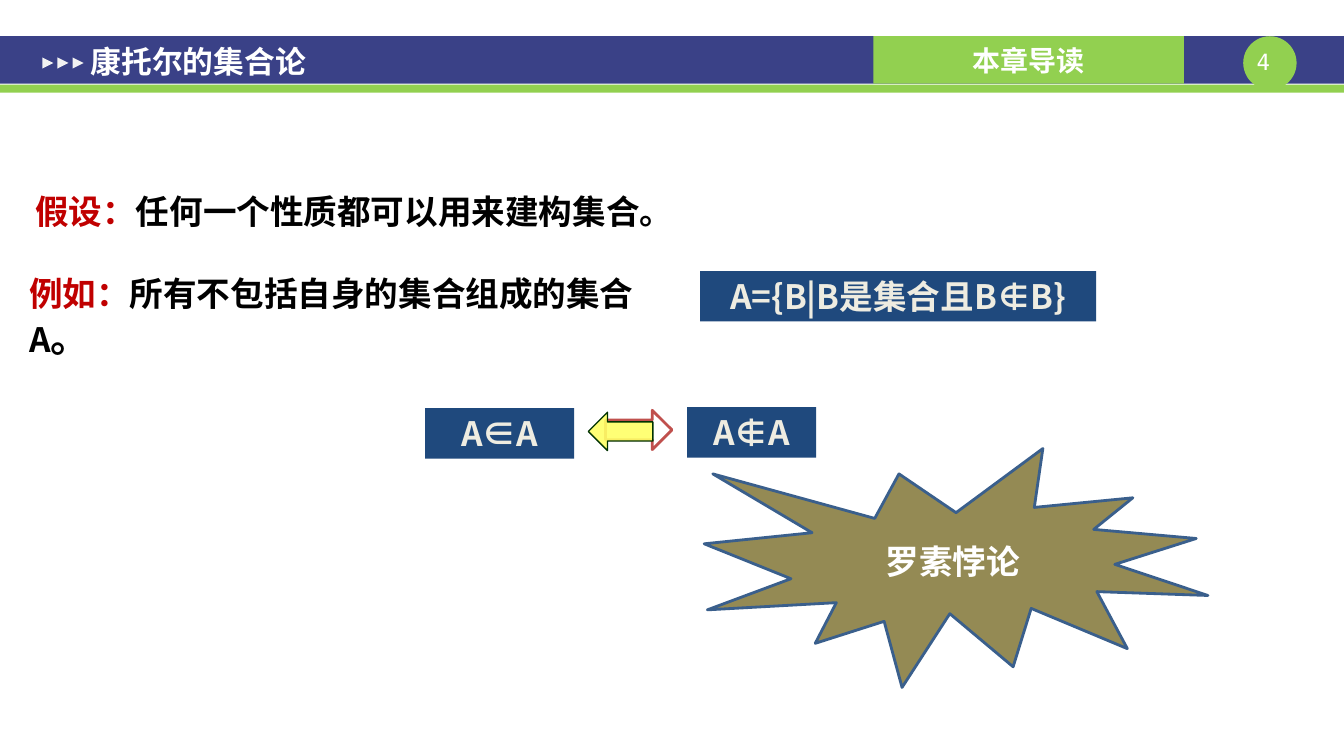
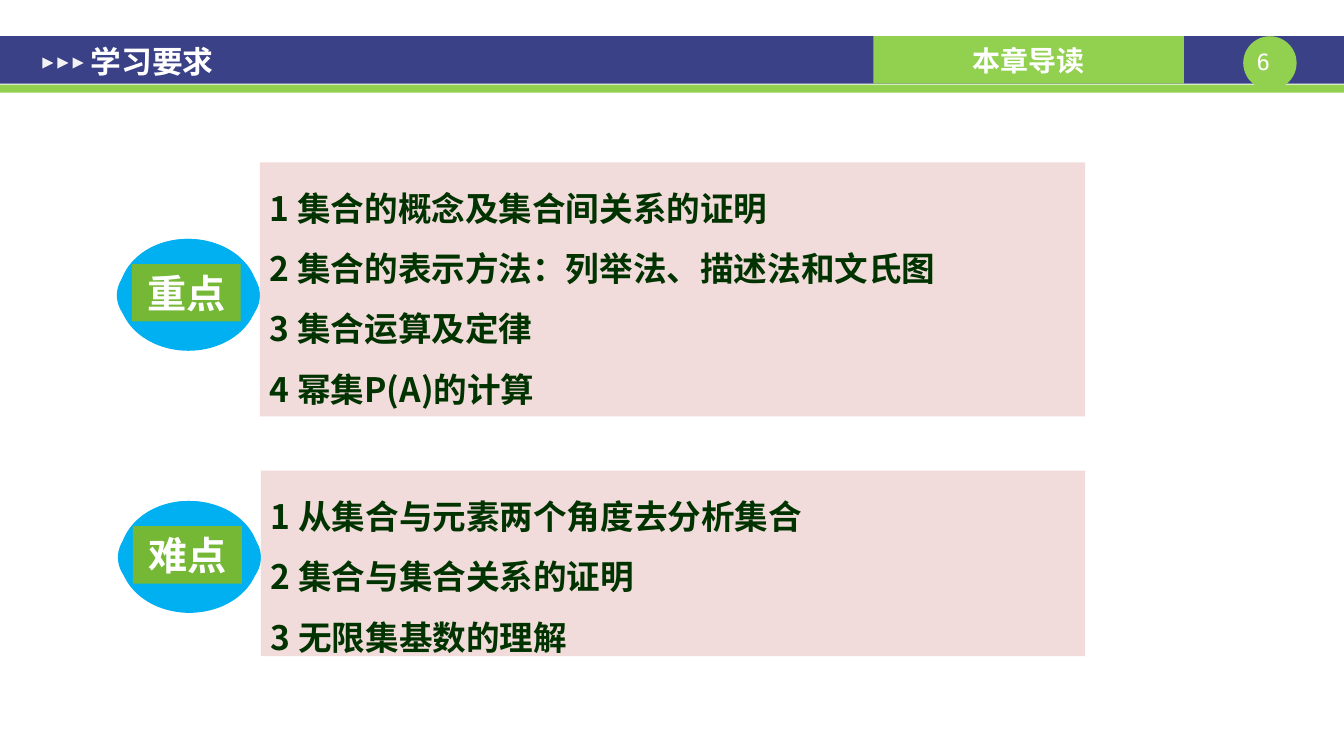
from lxml import etree
from pptx import Presentation
from pptx.dml.color import RGBColor
from pptx.enum import shapes, text
from pptx.oxml.ns import qn
from pptx.util import Inches, Pt

FONT, NUMBER_FONT = "Noto Sans CJK SC", "DejaVu Sans Mono"
WHITE, BLACK, RED, CREAM = "FFFFFF", "000000", "C00000", "EEECE1"
INDIGO, LIME, NAVY = "3A4187", "92D050", "1F497D"
SKY, LEAF, PINK, FOREST = "00B0F0", "74B836", "F2DCDB", "003300"

KIND = shapes.MSO_SHAPE
ALIGN = text.PP_ALIGN
ANCHOR = text.MSO_ANCHOR

# Layered ellipses of a badge: left, top, width, height within the badge
BADGE_LAYERS = [
    (0, 0.11, 1.42, 0.9),
    (0.02, 0, 1.38, 1.11),
    (0.03, 0, 1.34, 1.08),
    (0.05, 0.01, 1.28, 1.01),
    (0.12, 0.04, 1.14, 0.82),
]


def color(value):
    return RGBColor.from_string(value)


class Lecture:
    """Holds the deck, its style and the current slide."""

    def __init__(self):
        self.deck = Presentation()
        self.deck.slide_width = Inches(13.34)
        self.deck.slide_height = Inches(7.5)
        self.page = None

    def new_page(self, title, number):
        self.page = self.deck.slides.add_slide(self.deck.slide_layouts[5])
        self.header(number)
        self.title(title)

    def header(self, number):
        self.shape(KIND.RECTANGLE, 0, 0.36, 13.34, 0.47, INDIGO)
        self.shape(KIND.RECTANGLE, 0, 0.84, 13.34, 0.08, LIME)
        self.shape(KIND.OVAL, 12.34, 0.36, 0.53, 0.53, LIME)
        box = self.text_box(12.34, 0.48, 0.53, 0.27)
        self.set_text(box, [str(number)], 16, WHITE, ALIGN.CENTER, bold=False,
                      font=NUMBER_FONT, insets=(0, 0, 0.13, 0))
        chapter = self.shape(KIND.RECTANGLE, 8.67, 0.36, 3.08, 0.47, LIME)
        self.set_text(chapter, ["本章导读"], 20, WHITE, ALIGN.CENTER,
                      ANCHOR.MIDDLE)
        for index in range(3):
            marker = self.shape(KIND.ISOSCELES_TRIANGLE, 0.42 + 0.15 * index,
                                0.57, 0.11, 0.11, "F2F2F2")
            marker.rotation = 90

    def title(self, words):
        title = self.page.shapes.title
        title.left, title.top = Inches(0.56), Inches(0.39)
        title.width, title.height = Inches(5.8), Inches(0.44)
        self.set_text(title, [words], 22, WHITE, anchor=ANCHOR.MIDDLE,
                      insets=(0.34, 0.07, 0.13, 0.07))
        # Bring the title in front of the band
        title.element.getparent().append(title.element)

    def shape(self, kind, left, top, width, height, fill, line=None,
              line_width=1, parent=None):
        target = (parent or self.page).shapes
        shape = target.add_shape(kind, Inches(left), Inches(top),
                                 Inches(width), Inches(height))
        shape.shadow.inherit = False
        shape.fill.solid()
        shape.fill.fore_color.rgb = color(fill)
        if line:
            shape.line.color.rgb = color(line)
            shape.line.width = Pt(line_width)
        else:
            shape.line.fill.background()
        return shape

    def text_box(self, left, top, width, height):
        return self.page.shapes.add_textbox(Inches(left), Inches(top),
                                            Inches(width), Inches(height))

    def set_text(self, shape, lines, size, ink, align=ALIGN.LEFT,
                 anchor=ANCHOR.TOP, bold=True, font=FONT, spacing=None,
                 insets=(0.1, 0.05, 0.1, 0.05)):
        """Each line is a string or a list of (words, colour, size) spans."""
        frame = shape.text_frame
        frame.word_wrap = True
        frame.auto_size = text.MSO_AUTO_SIZE.NONE
        frame.vertical_anchor = anchor
        (frame.margin_left, frame.margin_top,
         frame.margin_right, frame.margin_bottom) = map(Inches, insets)
        for index, line in enumerate(lines):
            para = frame.add_paragraph() if index else frame.paragraphs[0]
            para.alignment = align
            para.line_spacing = spacing
            para.font.name, para.font.size = font, Pt(size)
            para.font.bold = bold
            para.font.color.rgb = color(ink)
            if isinstance(line, str):
                para.add_run().text = line
                continue
            for words, span_ink, span_size in line:
                span = para.add_run()
                span.text = words
                span.font.color.rgb = color(span_ink)
                span.font.size = Pt(span_size)
        # Use the same typeface for Chinese characters
        for latin in list(shape.element.iter(qn("a:latin"))):
            east_asian = etree.Element(qn("a:ea"), typeface=font)
            latin.addnext(east_asian)

    def statement(self, left, top, width, height, spans):
        box = self.text_box(left, top, width, height)
        self.set_text(box, [spans], 24, BLACK)

    def formula(self, left, top, width, words):
        box = self.shape(KIND.RECTANGLE, left, top, width, 0.5, NAVY)
        self.set_text(box, [words], 24, CREAM, ALIGN.CENTER)

    def badge(self, left, top, words):
        group = self.page.shapes.add_group_shape()
        for x, y, width, height in BADGE_LAYERS:
            self.shape(KIND.OVAL, left + x, top + y, width, height, SKY,
                       parent=group)
        label = self.shape(KIND.RECTANGLE, left + 0.15, top + 0.25, 1.08, 0.57,
                           LEAF)
        self.set_text(label, [words], 28, WHITE, ALIGN.CENTER)

    def panel(self, left, top, width, height, topics):
        box = self.shape(KIND.RECTANGLE, left, top, width, height, PINK)
        lines = [f"{number} {topic}" for number, topic in enumerate(topics, 1)]
        self.set_text(box, lines, 24, FOREST, spacing=1.5)


def paradox_page(lecture):
    lecture.new_page("康托尔的集合论", 4)

    # Assumption and example
    lecture.statement(0.25, 1.84, 7.82, 0.5, [
        ("假设：", RED, 24), ("任何一个性质都可以用来建构集合。", BLACK, 24)])
    lecture.statement(0.19, 2.66, 6.73, 0.57, [
        ("例如：", RED, 24), ("所有不包括自身的集合组成的集合A", BLACK, 24),
        ("。", BLACK, 28)])

    # Formulas and the two-way arrow between them
    lecture.formula(6.95, 2.69, 3.93, "A={B|B是集合且B∉B}")
    lecture.formula(4.22, 4.05, 1.48, "A∈A")
    lecture.shape(KIND.RIGHT_ARROW, 6.01, 4.07, 0.66, 0.39, WHITE, "C0504D", 2)
    lecture.formula(6.82, 4.04, 1.28, "A∉A")
    arrow = lecture.shape(KIND.LEFT_ARROW, 5.84, 4.09, 0.64, 0.38, "FFFF66",
                          FOREST, 1)
    fill_color = arrow.element.spPr.find(qn("a:solidFill"))[0]
    etree.SubElement(fill_color, qn("a:alpha"), val="90000")

    # Conclusion
    burst = lecture.shape(KIND.EXPLOSION1, 6.99, 4.45, 5, 2.37, "948A54",
                          "3A5F8C", 2)
    lecture.set_text(burst, ["罗素悖论"], 24, WHITE, ALIGN.CENTER,
                     ANCHOR.MIDDLE)


def requirements_page(lecture):
    lecture.new_page("学习要求", 6)

    # Key points
    lecture.badge(1.16, 2.37, "重点")
    lecture.panel(2.58, 1.61, 8.19, 2.52, [
        "集合的概念及集合间关系的证明", "集合的表示方法：列举法、描述法和文氏图",
        "集合运算及定律", "幂集P(A)的计算"])

    # Difficult points
    lecture.badge(1.17, 4.97, "难点")
    lecture.panel(2.59, 4.67, 8.18, 1.84, [
        "从集合与元素两个角度去分析集合", "集合与集合关系的证明",
        "无限集基数的理解"])


def main():
    lecture = Lecture()
    paradox_page(lecture)
    requirements_page(lecture)
    lecture.deck.save("out.pptx")


if __name__ == "__main__":
    main()
